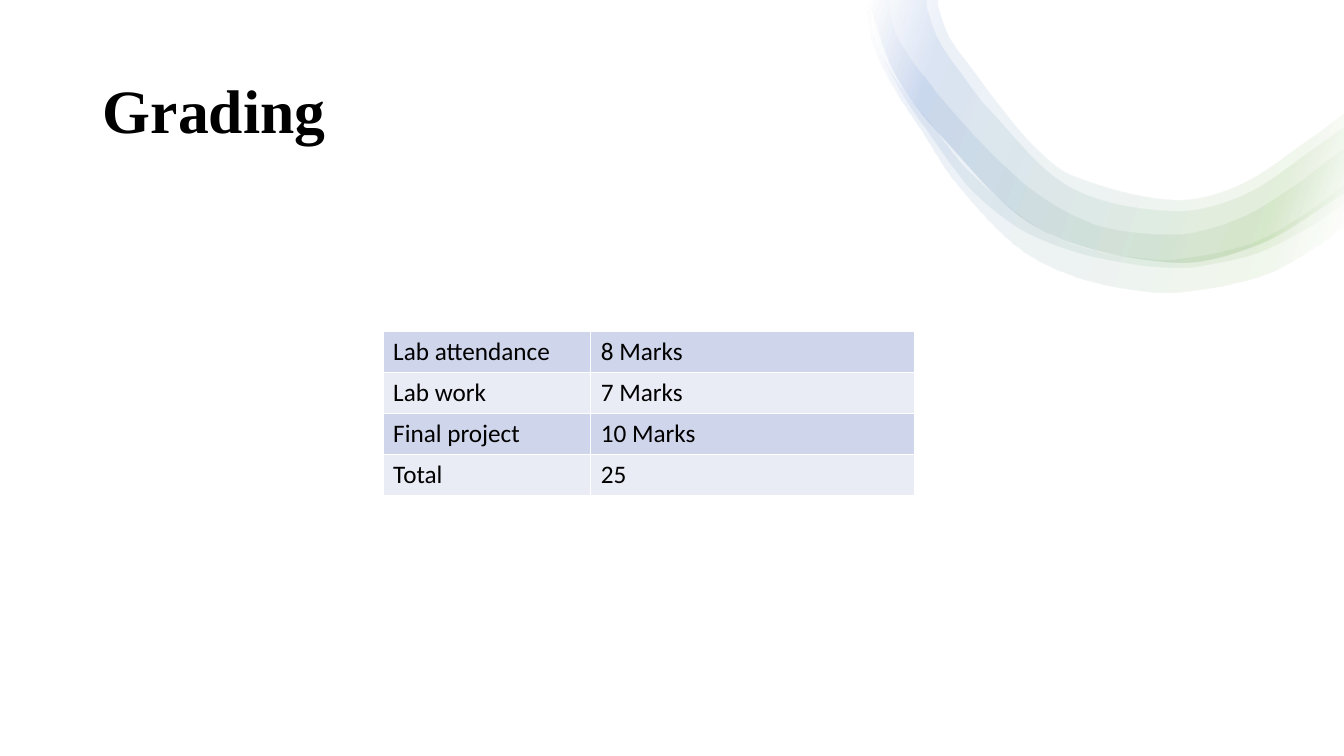
from math import dist

from lxml import etree
from pptx import Presentation
from pptx.dml.color import RGBColor
from pptx.enum.shapes import MSO_SHAPE
from pptx.enum.text import MSO_ANCHOR, MSO_AUTO_SIZE, PP_ALIGN
from pptx.oxml.ns import qn
from pptx.util import Inches, Pt

RECTANGLE = MSO_SHAPE.RECTANGLE
MIDDLE = MSO_ANCHOR.MIDDLE
LEFT = PP_ALIGN.LEFT
NO_FIT = MSO_AUTO_SIZE.NONE
TITLE_ONLY = 5

WIDTH, HEIGHT = 13.33, 7.5
COLORS = {
    "white": "FFFFFF",
    "text": "000000",
    "green": "70AD47",
    "blue": "4472C4",
    "odd_row": "CFD5EA",
    "even_row": "E9EBF5",
}
WAVE_STOPS = [(2, "white"), (16, "green"), (85, "blue"), (100, "white")]
WAVE_OPACITY = 10

CORE_EDGE = [
    (8.65, 0), (8.65, 0.08), (8.89, 0.75), (9.34, 1.35), (10.3, 2.26),
    (11.64, 2.6), (12.48, 2.42), (13.19, 2), (13.33, 1.9),
]
WAVES = [
    (
        [(8.64, 0), (8.66, 0.27), (8.75, 0.54), (8.97, 0.9), (9.25, 1.24),
         (9.61, 1.69), (10.25, 2.22), (10.76, 2.45), (11.3, 2.55),
         (11.69, 2.56), (12.39, 2.41), (12.88, 2.15), (13.33, 1.83)],
        [(8.6, 0), (8.63, 0.28), (8.71, 0.56), (8.91, 0.94), (9.15, 1.3),
         (9.47, 1.79), (10.09, 2.44), (10.65, 2.73), (11.27, 2.87),
         (11.7, 2.89), (12.53, 2.72), (13.08, 2.42), (13.33, 2.23)],
    ),
    (
        [(8.83, 0), (8.85, 0.2), (8.94, 0.43), (9.24, 0.85), (9.6, 1.27),
         (9.96, 1.64), (10.35, 1.96), (10.8, 2.2), (11.18, 2.29),
         (11.6, 2.32), (11.83, 2.3), (12.31, 2.15), (12.75, 1.89),
         (13.33, 1.46)],
        [(8.65, 0), (8.7, 0.38), (8.86, 0.77), (9.23, 1.34), (9.66, 1.9),
         (10.13, 2.27), (10.69, 2.5), (11.27, 2.62), (11.64, 2.65),
         (11.87, 2.64), (12.47, 2.5), (13, 2.23), (13.33, 2.01)],
    ),
    (
        [(9.2, 0), (9.2, 0.08), (9.32, 0.41), (9.59, 0.8), (9.79, 1.06),
         (10.61, 1.85), (11.64, 2.09), (12.35, 1.92), (13.05, 1.45),
         (13.33, 1.25)],
        CORE_EDGE,
    ),
    (
        [(9.31, 0), (9.31, 0.06), (9.42, 0.37), (9.68, 0.73), (9.88, 1),
         (10.25, 1.44), (10.64, 1.74), (11.64, 1.98), (12.29, 1.83),
         (12.99, 1.37), (13.33, 1.12)],
        CORE_EDGE,
    ),
]
GRADES = [
    ("Lab attendance", "8 Marks"),
    ("Lab work", "7 Marks"),
    ("Final project", "10 Marks"),
    ("Total", "25"),
]
COLUMN_WIDTHS = (2.06, 3.21)
TABLE_HEIGHT = 1.62


def rgb(name):
    return RGBColor.from_string(COLORS[name])


def curve_handles(points):
    padded = [points[0], *points, points[-1]]
    slopes = []
    for a, b, c in zip(padded, padded[1:], padded[2:]):
        length = dist(a, b) + dist(b, c)
        slopes.append(((c[0] - a[0]) / length, (c[1] - a[1]) / length))
    handles = []
    for a, b, m, n in zip(points, points[1:], slopes, slopes[1:]):
        reach = dist(a, b) / 3
        handles.append([(a[0] + m[0] * reach, a[1] + m[1] * reach),
                        (b[0] - n[0] * reach, b[1] - n[1] * reach)])
    return handles


def bend_edges(sp, handles):
    lines = list(sp._element.spPr.iter(qn("a:lnTo")))
    for line, pair in zip(lines, handles):
        if pair:
            curve = etree.Element(qn("a:cubicBezTo"))
            for x, y in pair:
                etree.SubElement(curve, qn("a:pt"),
                                 x=str(Inches(x) - sp.left),
                                 y=str(Inches(y) - sp.top))
            curve.append(line[0])
            line.getparent().replace(line, curve)


def fill_wave(sp):
    sp.fill.gradient()
    sp.fill.gradient_angle = 160
    stops = sp._element.spPr.find(qn("a:gradFill")).find(qn("a:gsLst"))
    for stop in list(stops):
        stops.remove(stop)
    for position, name in WAVE_STOPS:
        stop = etree.SubElement(stops, qn("a:gs"), pos=str(position * 1000))
        color = etree.SubElement(stop, qn("a:srgbClr"), val=COLORS[name])
        etree.SubElement(color, qn("a:alpha"), val=str(WAVE_OPACITY * 1000))


def add_wave(s, inner, outer):
    back = outer[::-1]
    points = [(Inches(x), Inches(y)) for x, y in inner + back]
    builder = s.shapes.build_freeform(*points[0], scale=1.0)
    builder.add_line_segments(points[1:], close=True)
    sp = builder.convert_to_shape()
    bend_edges(sp, curve_handles(inner) + [None] + curve_handles(back))
    fill_wave(sp)
    sp.line.fill.background()
    sp.shadow.inherit = False


def add_backdrop(s):
    sp = s.shapes.add_shape(RECTANGLE, 0, 0, Inches(WIDTH), Inches(HEIGHT))
    sp.fill.solid()
    sp.fill.fore_color.rgb = rgb("white")
    sp.line.fill.background()
    sp.shadow.inherit = False


def add_run(p, text, font, size, bold=False):
    r = p.add_run()
    r.text = text
    r.font.name = font
    r.font.size = Pt(size)
    r.font.bold = bold
    r.font.color.rgb = rgb("text")


def add_title(s, text):
    title = s.shapes.title
    s.shapes._spTree.append(title._element)
    title.left, title.top = Inches(0.92), Inches(0.4)
    title.width, title.height = Inches(11.5), Inches(1.45)
    tf = title.text_frame
    tf.word_wrap = True
    tf.auto_size = NO_FIT
    tf.vertical_anchor = MIDDLE
    p = tf.paragraphs[0]
    p.alignment = LEFT
    p.line_spacing = 0.9
    add_run(p, text, "Times New Roman", 44, bold=True)


def add_borders(cell):
    props = cell._tc.get_or_add_tcPr()
    for index, side in enumerate(("lnL", "lnR", "lnT", "lnB")):
        line = etree.Element(qn(f"a:{side}"), w=str(Pt(1)))
        fill = etree.SubElement(line, qn("a:solidFill"))
        etree.SubElement(fill, qn("a:srgbClr"), val=COLORS["white"])
        props.insert(index, line)


def add_grades(s):
    table = s.shapes.add_table(
        len(GRADES), len(COLUMN_WIDTHS), Inches(3.8), Inches(3.29),
        Inches(sum(COLUMN_WIDTHS)), Inches(TABLE_HEIGHT)).table
    table.first_row = False
    for column, width in zip(table.columns, COLUMN_WIDTHS):
        column.width = Inches(width)
    for i, grade in enumerate(GRADES):
        for j, text in enumerate(grade):
            cell = table.cell(i, j)
            cell.fill.solid()
            cell.fill.fore_color.rgb = rgb("even_row" if i % 2 else "odd_row")
            add_borders(cell)
            add_run(cell.text_frame.paragraphs[0], text, "Calibri", 18)


def main():
    prs = Presentation()
    prs.slide_width, prs.slide_height = Inches(WIDTH), Inches(HEIGHT)
    s = prs.slides.add_slide(prs.slide_layouts[TITLE_ONLY])
    add_backdrop(s)
    for inner, outer in WAVES:
        add_wave(s, inner, outer)
    add_title(s, "Grading")
    add_grades(s)
    prs.save("out.pptx")


if __name__ == "__main__":
    main()
